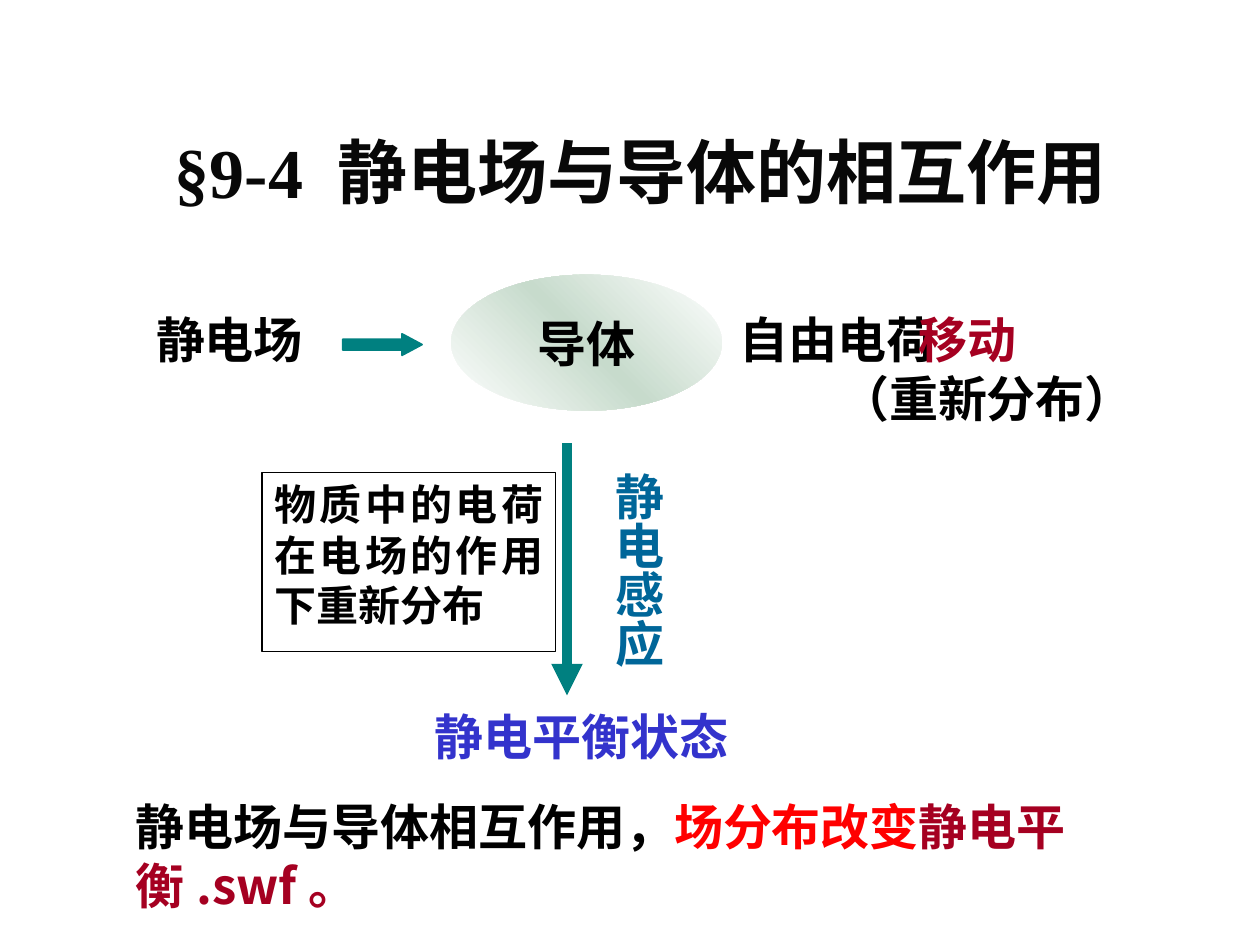
from copy import deepcopy
from dataclasses import dataclass

from lxml.etree import SubElement
from pptx import Presentation
from pptx.dml.color import RGBColor
from pptx.enum.shapes import MSO_CONNECTOR, MSO_SHAPE
from pptx.enum.text import MSO_ANCHOR, MSO_AUTO_SIZE, PP_ALIGN
from pptx.oxml.ns import qn
from pptx.util import Inches, Pt


@dataclass(frozen=True)
class Theme:
    sans: str = "Noto Sans CJK SC"
    serif: str = "Times New Roman"
    title: int = 40
    body: int = 28
    note: int = 24
    ink: str = "000000"
    head: str = "080808"
    teal: str = "008080"
    blue: str = "3333CC"
    steel: str = "006699"
    wine: str = "A50021"
    red: str = "FF0000"
    white: str = "FFFFFF"
    mint: str = "C7DBCC"


@dataclass(frozen=True)
class Box:
    """An area on a grid of 100 columns by 75 rows."""
    col: float
    row: float
    wide: float
    high: float

    def inner(self, col, row, wide, high):
        return Box(self.col + col, self.row + row, wide, high)

    def place(self):
        return [cell(v) for v in (self.col, self.row, self.wide, self.high)]


T = Theme()


def cell(count):
    return Inches(round(count / 10, 2))


def rgb(code):
    return RGBColor.from_string(code)


def write(shape, *paras, size=T.body, color=T.ink, font=T.sans,
          align=PP_ALIGN.LEFT, indent=0):
    """Each paragraph is a string or a list of (text, colour) runs."""
    frame = shape.text_frame
    for i, runs in enumerate(paras):
        para = frame.add_paragraph() if i else frame.paragraphs[0]
        para.alignment = align
        if indent and i == 0:
            para._p.get_or_add_pPr().set("indent", str(cell(indent)))
        for text, tone in [(runs, color)] if isinstance(runs, str) else runs:
            run = para.add_run()
            run.text = text
            run.font.size = Pt(size)
            run.font.bold = True
            run.font.color.rgb = rgb(tone)
            run.font.name = font
            SubElement(run._r.rPr, qn("a:ea"), typeface=T.sans)


def label(slide, box, *paras, upright=False, **style):
    shape = slide.shapes.add_textbox(*box.place())
    frame = shape.text_frame
    frame.word_wrap = True
    frame.auto_size = MSO_AUTO_SIZE.SHAPE_TO_FIT_TEXT
    if upright:
        frame._txBody.bodyPr.set("vert", "eaVert")
        frame.margin_left = frame.margin_right = cell(0.5)
        frame.margin_top = frame.margin_bottom = cell(1)
    write(shape, *paras, **style)


def block(slide, kind, box, fill=None, line=None, width=1):
    shape = slide.shapes.add_shape(kind, *box.place())
    shape.shadow.inherit = False
    if fill:
        shape.fill.solid()
        shape.fill.fore_color.rgb = rgb(fill)
    if line:
        shape.line.color.rgb = rgb(line)
        shape.line.width = Pt(width)
    else:
        shape.line.fill.background()
    return shape


def blend(shape, *colors, angle):
    """Spread the colours evenly along a linear gradient."""
    shape.fill.gradient()
    shape.fill.gradient_angle = angle
    stops = shape._element.spPr.find(qn("a:gradFill")).find(qn("a:gsLst"))
    while len(stops) < len(colors):
        stops.append(deepcopy(stops[-1]))
    for i, (stop, color) in enumerate(zip(shape.fill.gradient_stops, colors)):
        stop.position = i / (len(colors) - 1)
        stop.color.rgb = rgb(color)


def title(slide, box):
    label(slide, box, "§9-4 静电场与导体的相互作用", size=T.title,
          color=T.head, font=T.serif, align=PP_ALIGN.CENTER)


def cause(slide, box):
    # Field acting on the conductor
    label(slide, box.inner(0, 2.3, 14.2, 5.7), "静电场")
    arrow = block(slide, MSO_SHAPE.RIGHT_ARROW, box.inner(15.8, 4.7, 6.3, 1.7),
                  T.teal, T.teal)
    arrow.adjustments[1] = 0.935

    # Conductor
    oval = block(slide, MSO_SHAPE.OVAL, box.inner(24.4, 0, 21.5, 10.8))
    blend(oval, T.white, T.mint, T.white, angle=45)
    oval.text_frame.word_wrap = False
    oval.text_frame.vertical_anchor = MSO_ANCHOR.MIDDLE
    write(oval, "导体", align=PP_ALIGN.CENTER)

    # Free charges
    label(slide, box.inner(45.2, 2.3, 22.5, 5.7), "自由电荷", indent=1.1)
    label(slide, box.inner(54.3, 2.3, 38.3, 10.4), [("移动", T.wine)],
          "（重新分布）", indent=6.2)


def effect(slide, box):
    # Explanation in a frame
    note = block(slide, MSO_SHAPE.RECTANGLE, box.inner(0, 2.3, 23.3, 14.2),
                 T.white, T.ink, 0.75)
    note.text_frame.word_wrap = True
    note.text_frame.vertical_anchor = MSO_ANCHOR.TOP
    write(note, "物质中的电荷在电场的作用下重新分布", size=T.note,
          font=T.serif, align=PP_ALIGN.JUSTIFY)

    # Downward arrow and its name
    x, y = cell(box.col + 24.2), box.row
    arrow = slide.shapes.add_connector(MSO_CONNECTOR.STRAIGHT,
                                       x, cell(y), x, cell(y + 20))
    arrow.line.color.rgb = rgb(T.teal)
    arrow.line.width = Pt(6)
    SubElement(arrow.line._get_or_add_ln(), qn("a:tailEnd"), type="triangle")
    SubElement(arrow._element.spPr, qn("a:effectLst"))
    label(slide, box.inner(26.1, 1.3, 6.6, 18.3), "静电感应",
          upright=True, color=T.steel)

    # Resulting state
    label(slide, box.inner(12.7, 20.4, 30, 5.7), "静电平衡状态", color=T.blue)


def summary(slide, box):
    label(slide, box, [("静电场与导体相互作用，", T.ink),
                       ("场分布改变", T.red), ("静电平衡.swf。", T.wine)])


def main():
    deck = Presentation()
    deck.slide_width, deck.slide_height = cell(100), cell(75)
    slide = deck.slides.add_slide(deck.slide_layouts[6])
    title(slide, Box(7.5, 9.7, 86.7, 7.7))
    cause(slide, Box(11.4, 21.8, 88, 13))
    effect(slide, Box(20.8, 35.2, 43, 26))
    summary(slide, Box(9.8, 62.7, 92.9, 10.4))
    deck.save("out.pptx")


if __name__ == "__main__":
    main()
